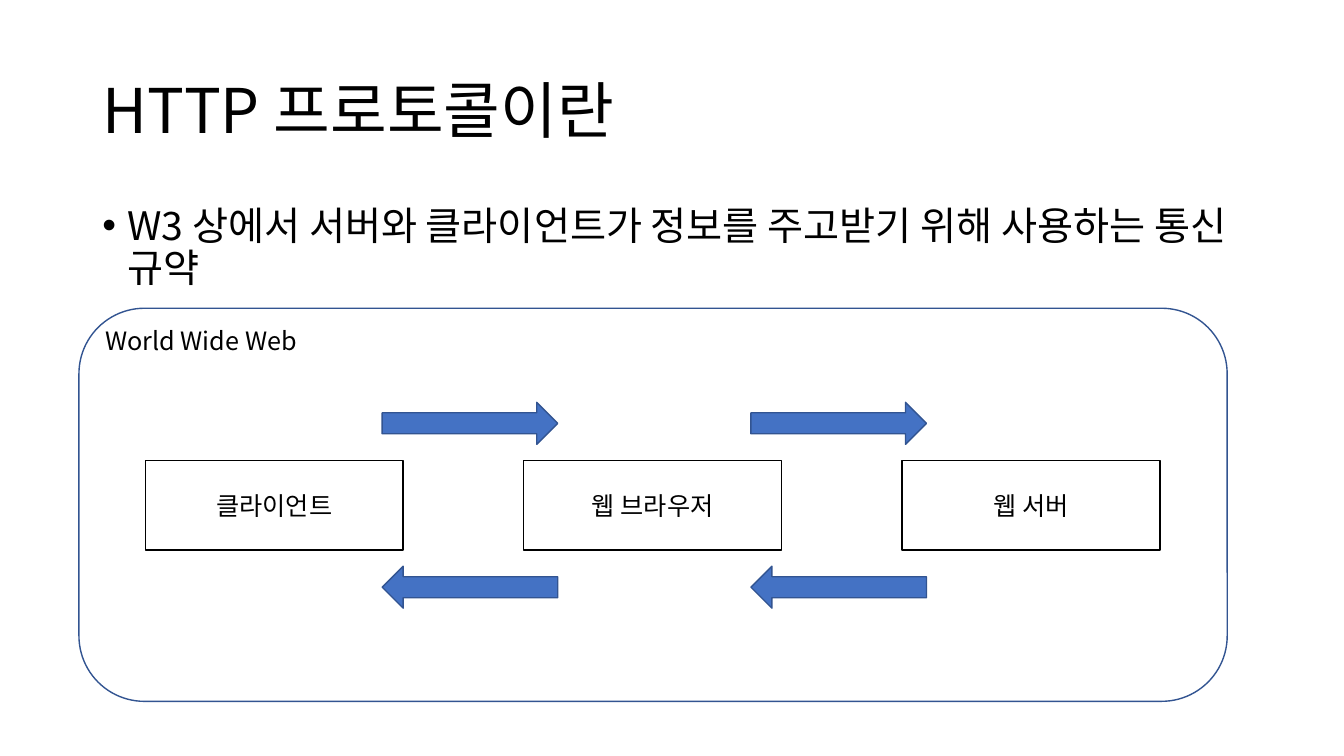
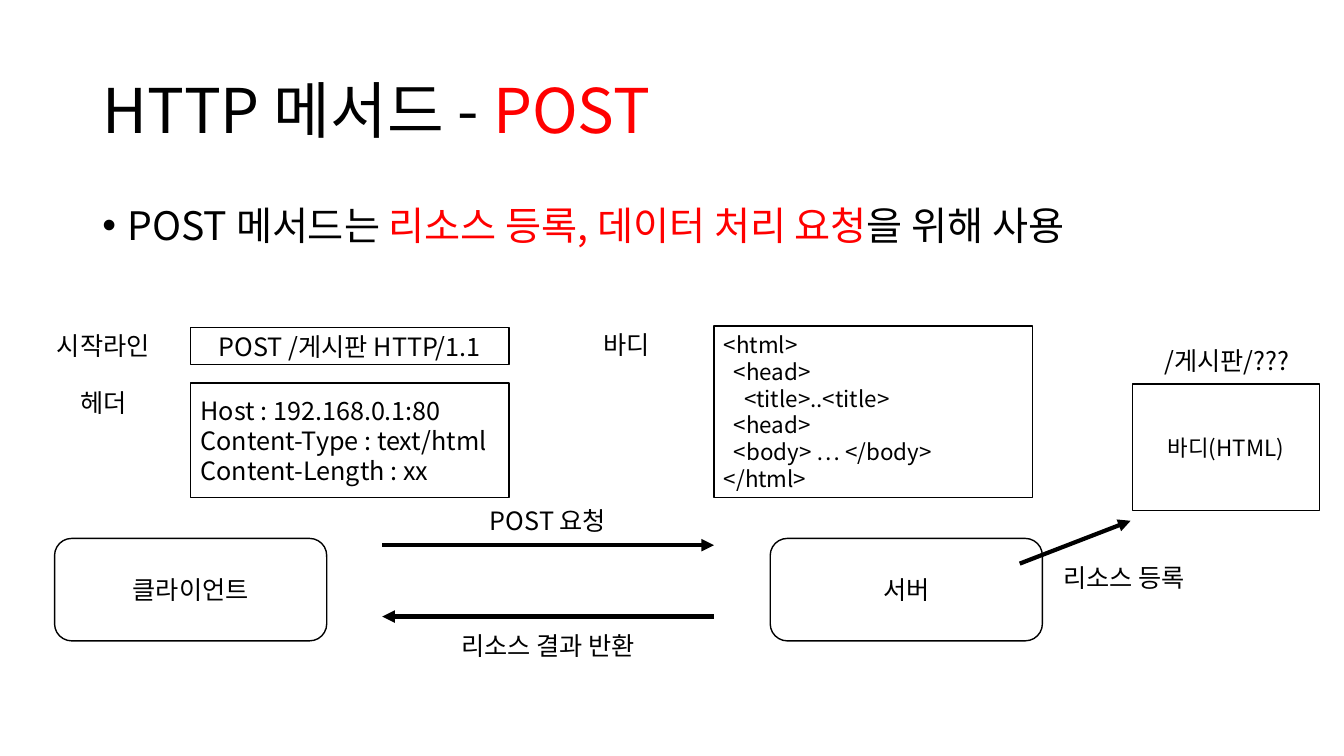
from dataclasses import dataclass

from lxml.etree import SubElement
from pptx import Presentation
from pptx.dml.color import RGBColor
from pptx.enum.shapes import MSO_CONNECTOR as Connector, MSO_SHAPE as Preset
from pptx.enum.text import MSO_ANCHOR as Anchor, PP_ALIGN as Align
from pptx.oxml.ns import qn
from pptx.util import Emu, Inches, Pt

WIDTH, HEIGHT = Inches(13.333), Inches(7.5)
COLUMNS, ROWS = 160, 90
FONT = "Noto Sans CJK KR"
BLACK, WHITE, RED = "000000", "FFFFFF", "FF0000"
BLUE, NAVY = "4472C4", "325491"


@dataclass(frozen=True)
class Area:
    column: float
    row: float
    columns: float
    rows: float


@dataclass(frozen=True)
class Span:
    text: str
    color: str = BLACK


@dataclass(frozen=True)
class Line:
    spans: tuple[Span, ...]
    level: int = 0


@dataclass(frozen=True)
class Box:
    area: Area
    lines: tuple[Line, ...] = ()
    preset: Preset = Preset.RECTANGLE
    fill: str | None = WHITE
    outline: str | None = BLACK
    size: int = 18
    align: Align = Align.CENTER
    rotation: int = 0


@dataclass(frozen=True)
class Arrow:
    start: tuple[float, float]
    end: tuple[float, float]


TITLE = Area(11, 4.8, 138, 17.4)
BODY = Area(11, 24, 138, 57.1)


def color(value: str) -> RGBColor:
    return RGBColor.from_string(value)


def across(columns: float) -> Emu:
    return Emu(round(WIDTH * columns / COLUMNS))


def down(rows: float) -> Emu:
    return Emu(round(HEIGHT * rows / ROWS))


def place(area: Area) -> tuple[Emu, Emu, Emu, Emu]:
    return across(area.column), down(area.row), across(area.columns), down(area.rows)


def text(*values: str) -> tuple[Line, ...]:
    return tuple(Line((Span(value),)) for value in values)


def write(paragraph, line: Line, size: int) -> None:
    font = paragraph.font
    font.name, font.size = FONT, Pt(size)
    font.color.rgb = color(BLACK)
    defaults = paragraph._p.pPr.find(qn("a:defRPr"))
    SubElement(defaults, qn("a:ea"), typeface=FONT)
    for span in line.spans:
        run = paragraph.add_run()
        run.text = span.text
        if span.color != BLACK:
            run.font.color.rgb = color(span.color)


def add_heading(slide, area: Area, spans: tuple[Span, ...], size: int, bulleted: bool) -> None:
    frame = slide.shapes.add_textbox(*place(area)).text_frame
    frame.word_wrap = True
    frame.vertical_anchor = Anchor.TOP if bulleted else Anchor.MIDDLE
    paragraph = frame.paragraphs[0]
    paragraph.line_spacing = 0.9
    if bulleted:
        paragraph.space_before = Pt(10)
        properties = paragraph._p.get_or_add_pPr()
        properties.set("marL", str(Inches(0.25)))
        properties.set("indent", str(-Inches(0.25)))
        SubElement(properties, qn("a:buFont"), typeface="Arial")
        SubElement(properties, qn("a:buChar"), char="•")
    write(paragraph, Line(spans), size)


def add_box(slide, box: Box) -> None:
    shape = slide.shapes.add_shape(box.preset, *place(box.area))
    shape.shadow.inherit = False
    shape.rotation = box.rotation
    if box.fill:
        shape.fill.solid()
        shape.fill.fore_color.rgb = color(box.fill)
    else:
        shape.fill.background()
    if box.outline:
        shape.line.color.rgb = color(box.outline)
        shape.line.width = Pt(1)
    else:
        shape.line.fill.background()
    frame = shape.text_frame
    frame.word_wrap = True
    frame.vertical_anchor = Anchor.MIDDLE
    for index, line in enumerate(box.lines):
        paragraph = frame.add_paragraph() if index else frame.paragraphs[0]
        paragraph.alignment = box.align
        if line.level:
            paragraph._p.get_or_add_pPr().set("marL", str(Inches(0.1 * line.level)))
        write(paragraph, line, box.size)


def add_arrow(slide, arrow: Arrow) -> None:
    (left, top), (right, bottom) = arrow.start, arrow.end
    connector = slide.shapes.add_connector(
        Connector.STRAIGHT, across(left), down(top), across(right), down(bottom))
    connector.line.color.rgb = color(BLACK)
    connector.line.width = Pt(3)
    SubElement(connector.line._get_or_add_ln(), qn("a:tailEnd"), type="triangle")
    SubElement(connector._element.spPr, qn("a:effectLst"))


def label(area: Area, value: str, fill: str | None = WHITE) -> Box:
    return Box(area, text(value), fill=fill, outline=None)


def add_slide(presentation, title: tuple[Span, ...], body: tuple[Span, ...],
              boxes: list[Box], arrows: tuple[Arrow, ...] = ()) -> None:
    slide = presentation.slides.add_slide(presentation.slide_layouts[6])
    add_heading(slide, TITLE, title, 44, bulleted=False)
    add_heading(slide, BODY, body, 28, bulleted=True)
    for box in boxes:
        add_box(slide, box)
    for arrow in arrows:
        add_arrow(slide, arrow)


def add_protocol_slide(presentation) -> None:
    web = Box(Area(9.4, 36.7, 136.7, 46.8), preset=Preset.ROUNDED_RECTANGLE,
              fill=None, outline=NAVY)
    nodes = [Box(Area(17.3 + 45.05 * index, 54.8, 30.7, 10.7), text(name))
             for index, name in enumerate(("클라이언트", "웹 브라우저", "웹 서버"))]
    flows = [Box(Area(45.5 + 43.9 * index, row, 20.9, 5), preset=Preset.RIGHT_ARROW,
                 fill=BLUE, outline=NAVY, rotation=rotation)
             for row, rotation in ((47.9, 0), (67.4, 180)) for index in range(2)]
    caption = label(Area(8.6, 35.2, 30.7, 10.7), "World Wide Web", fill=None)
    add_slide(
        presentation,
        (Span("HTTP 프로토콜이란"),),
        (Span("W3 상에서 서버와 클라이언트가 정보를 주고받기 위해 사용하는 통신 규약"),),
        [web, *nodes, *flows, caption],
    )


def add_post_slide(presentation) -> None:
    hosts = [Box(Area(column, 64.1, 32.4, 12.2), text(name), Preset.ROUNDED_RECTANGLE)
             for column, name in ((6.5, "클라이언트"), (91.7, "서버"))]
    headers = text("Host : 192.168.0.1:80", "Content-Type : text/html", "Content-Length : xx")
    markup = tuple(Line((Span(tag),), level) for tag, level in (
        ("<html>", 0), ("<head>", 1), ("<title>..<title>", 2),
        ("<head>", 1), ("<body> … </body>", 1), ("</html>", 0)))
    message = [
        Box(Area(22.7, 39, 37.9, 4.4), text("POST /게시판 HTTP/1.1")),
        Box(Area(22.7, 45.6, 37.9, 13.6), headers, align=Align.LEFT),
        Box(Area(85, 38.8, 37.9, 20.4), markup, size=16, align=Align.LEFT),
        Box(Area(134.8, 45.7, 22.3, 15.1), text("바디(HTML)"), size=16),
    ]
    labels = [label(area, value) for area, value in (
        (Area(4.9, 39, 14.8, 4.3), "시작라인"),
        (Area(4.9, 45.8, 14.8, 4.3), "헤더"),
        (Area(67.2, 38.9, 14.8, 4.3), "바디"),
        (Area(56.6, 60.2, 17.3, 3.5), "POST 요청"),
        (Area(48.5, 75.4, 33.5, 2.8), "리소스 결과 반환"),
        (Area(124.6, 66.2, 18.5, 5), "리소스 등록"),
        (Area(135, 41.2, 22.1, 3.5), "/게시판/???"),
    )]
    add_slide(
        presentation,
        (Span("HTTP 메서드 - "), Span("POST", RED)),
        (Span("POST 메서드는 "), Span("리소스 등록, 데이터 처리 요청", RED), Span("을 위해 사용")),
        [*hosts, *message, *labels],
        (Arrow((45.5, 64.9), (85, 64.9)),
         Arrow((85, 73.4), (45.5, 73.4)),
         Arrow((121.4, 67.1), (134.6, 62))),
    )


def main() -> None:
    presentation = Presentation()
    presentation.slide_width, presentation.slide_height = WIDTH, HEIGHT
    add_protocol_slide(presentation)
    add_post_slide(presentation)
    presentation.save("out.pptx")


if __name__ == "__main__":
    main()
